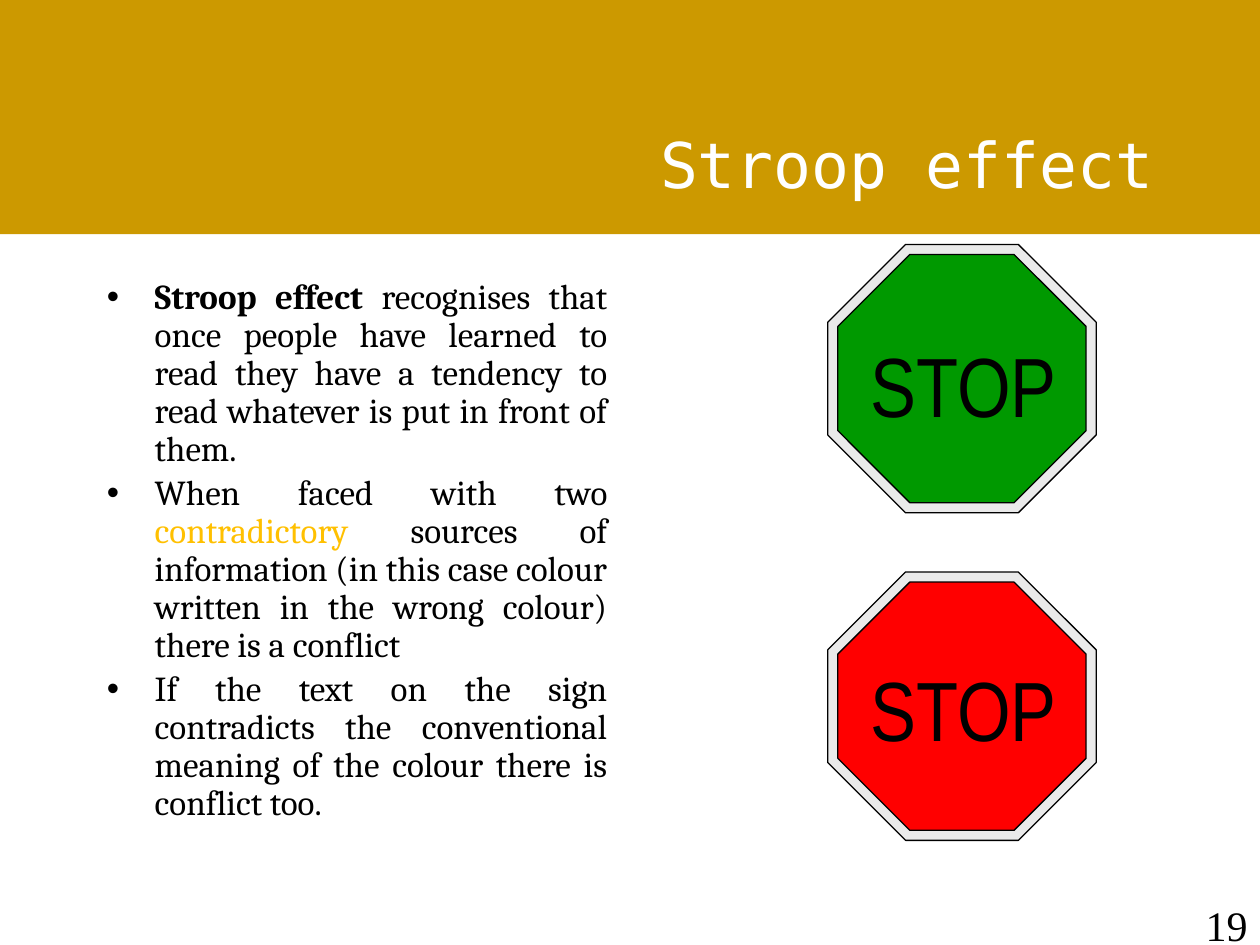
from pptx import Presentation, util as u
from pptx.dml.color import RGBColor
from pptx.enum import shapes, text
from pptx.oxml import parse_xml
from pptx.oxml.ns import nsdecls

W, H = 10, 7.5
GOLD, BLACK, WHITE, RIM, AMBER = "CC9900", "000000", "FFFFFF", "EAEAEA", "FFC000"
BODY = [
    [("Stroop effect", {"bold": True}),
     (" recognises that once people have learned to read they have a tendency "
      "to read whatever is put in front of them.", {})],
    [("When faced with two ", {}), ("contradictory", {"color": AMBER}),
     (" sources of information (in this case colour written in the wrong "
      "colour) there is a conflict", {})],
    [("If the text on the sign contradicts the conventional meaning of the "
      "colour there is conflict too.", {})],
]
SIGNS = [("009900", 1.94, 2.6), ("FF0000", 4.54, 5.17)]
SIGN_LEFT, SIGN_SIZE, RIM_WIDTH = 6.57, 2.13, 0.08


def rgb(value):
    return RGBColor.from_string(value)


def inches(*box):
    return [u.Inches(v) for v in box]


def add_block(kind, box, fill, line=None):
    sp = s.shapes.add_shape(kind, *inches(*box))
    sp.shadow.inherit = False
    sp.fill.solid()
    sp.fill.fore_color.rgb = rgb(fill)
    if line:
        sp.line.color.rgb = rgb(line)
        sp.line.width = u.Pt(0.75)
    else:
        sp.line.fill.background()
    return sp


def add_run(p, content, size, font, color=BLACK, bold=False):
    r = p.add_run()
    r.text = content
    r.font.size = u.Pt(size)
    r.font.name = font
    r.font.bold = bold
    r.font.color.rgb = rgb(color)


def add_text(paragraphs, box, size, font, color=BLACK, align="LEFT",
             anchor="TOP", bullet=False):
    tf = s.shapes.add_textbox(*inches(*box)).text_frame
    tf.word_wrap = True
    tf.vertical_anchor = text.MSO_ANCHOR[anchor]
    for i, runs in enumerate(paragraphs):
        p = tf.add_paragraph() if i else tf.paragraphs[0]
        p.alignment = text.PP_ALIGN[align]
        if bullet:
            p.line_spacing = 0.9
            p.space_before = u.Pt(size * 0.2)
            pPr = p._p.get_or_add_pPr()
            pPr.set("marL", str(u.Inches(0.38)))
            pPr.set("indent", str(-u.Inches(0.38)))
            pPr.append(parse_xml(f'<a:buFont {nsdecls("a")} typeface="Arial"/>'))
            pPr.append(parse_xml(f'<a:buChar {nsdecls("a")} char="•"/>'))
        for content, style in runs:
            add_run(p, content, size, font, **{"color": color, **style})


prs = Presentation()
prs.slide_width, prs.slide_height = inches(W, H)
s = prs.slides.add_slide(prs.slide_layouts[6])

add_block(shapes.MSO_SHAPE.RECTANGLE, (0, 0, W, 1.86), GOLD)
add_text([[("Stroop effect", {})]], (0.75, 0.67, 8.5, 1.25), 36,
         "DejaVu Sans Mono", color=WHITE, align="RIGHT", anchor="MIDDLE")
add_text(BODY, (0.75, 2.17, 4.17, 4.5), 20, "Cambria", align="JUSTIFY", bullet=True)
add_text([[("19", {})]], (8.81, 7.09, 1.19, 0.52), 24, "Times New Roman", align="RIGHT")

for face, top, label_top in SIGNS:
    for inset, fill in ((0, RIM), (RIM_WIDTH, face)):
        side = SIGN_SIZE - 2 * inset
        octagon = add_block(shapes.MSO_SHAPE.OCTAGON,
                            (SIGN_LEFT + inset, top + inset, side, side), fill, BLACK)
        octagon.adjustments[0] = 0.29
    add_text([[("STOP", {})]], (6.81, label_top, 1.81, 0.9), 48, "Arial Narrow")

prs.save("out.pptx")
